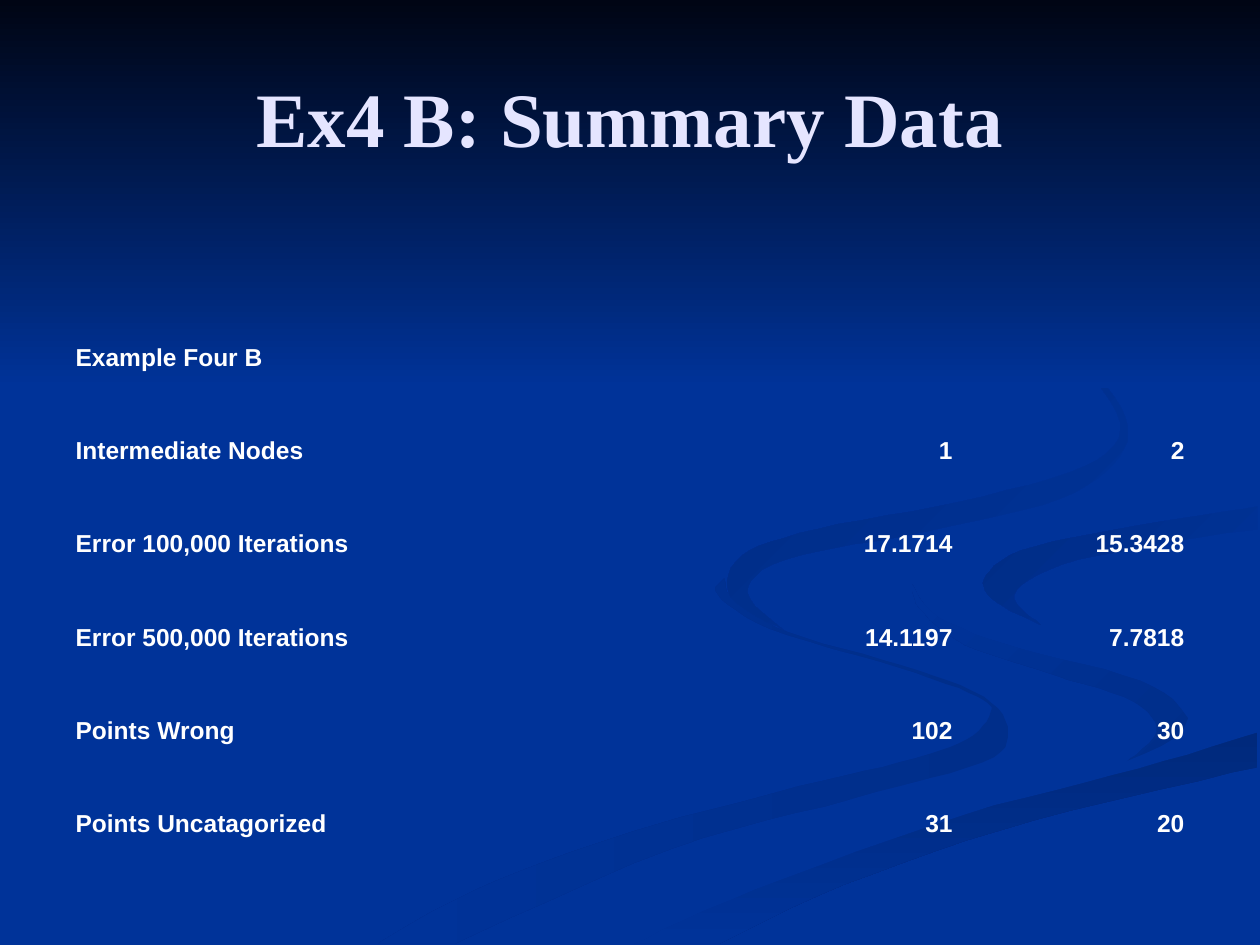
from dataclasses import dataclass

from pptx import Presentation
from pptx.dml.color import RGBColor
from pptx.dml.fill import FillFormat
from pptx.enum.shapes import MSO_SHAPE
from pptx.enum.text import MSO_ANCHOR, PP_ALIGN
from pptx.oxml.ns import qn
from pptx.slide import Slide
from pptx.util import Pt

Point = tuple[int, int]
Edge = tuple[Point, ...]

PX = 9144  # 100 px to the inch
STEPS = 6  # line segments between two knots of an edge
BLUE = RGBColor(0x00, 0x33, 0x99)
NIGHT = RGBColor(0x00, 0x05, 0x14)
SHADE_1 = RGBColor(0x00, 0x2E, 0x8A)
SHADE_2 = RGBColor(0x00, 0x29, 0x7C)
SHADE_3 = RGBColor(0x00, 0x2C, 0x85)
SHADE_4 = RGBColor(0x00, 0x2B, 0x81)
LAVENDER = RGBColor(0xE5, 0xE5, 0xFF)
WHITE = RGBColor(0xFF, 0xFF, 0xFF)
NO_STYLE = "{2D5ABB26-0587-4C30-8999-92F81FD0307C}"


@dataclass(frozen=True)
class Ribbon:
    start: RGBColor
    end: RGBColor
    angle: int  # clockwise degrees
    edges: tuple[Edge, ...]  # smooth curves, joined by corners


RIBBONS = (
    Ribbon(SHADE_1, BLUE, 180, (
        ((300, 749), (376, 707), (499, 661), (616, 629), (714, 605), (767, 587),
         (786, 566), (776, 553), (714, 530), (611, 499), (570, 472), (575, 459)),
        ((575, 459), (583, 477), (626, 502), (715, 528), (781, 553),
         (800, 581), (780, 605), (676, 634), (532, 674), (361, 749)))),
    Ribbon(SHADE_1, BLUE, 225, (
        ((724, 464), (745, 490), (811, 515), (905, 540), (943, 570), (932, 589), (894, 605)),
        ((894, 605), (918, 581), (900, 557), (838, 536), (766, 512), (730, 483), (724, 464)))),
    Ribbon(SHADE_2, BLUE, 90, (
        ((503, 749), (599, 706), (764, 647), (903, 610), (998, 581)),
        ((998, 609), (821, 651), (670, 702), (571, 749)))),
    Ribbon(BLUE, BLUE, 0, (
        ((725, 464), (755, 432), (830, 415), (920, 401), (999, 387)),
        ((999, 402), (933, 415), (850, 427), (786, 453), (804, 485), (866, 509), (999, 538)),
        ((999, 581), (903, 610), (764, 647), (599, 706), (503, 749)),
        ((477, 749), (573, 703), (704, 655), (892, 605), (943, 570),
         (905, 540), (811, 515), (745, 490), (725, 464)))),
    Ribbon(BLUE, SHADE_3, 225, (
        ((998, 402), (898, 418), (810, 437), (781, 460), (791, 478), (826, 496)),
        ((826, 496), (805, 472), (843, 448), (936, 429), (998, 420)))),
    Ribbon(BLUE, SHADE_4, 225, (
        ((762, 233), (846, 279), (889, 335), (861, 370), (763, 398),
         (649, 420), (589, 441), (580, 474), (622, 500)),
        ((622, 500), (593, 470), (624, 444), (739, 421), (841, 396),
         (889, 362), (890, 324), (843, 275), (762, 233)))),
)

COLUMNS = (520, 196, 184)
HEADER_HEIGHT, ROW_HEIGHT = 125, 74
ROWS = (
    ("Example Four B", "", ""),
    ("Intermediate Nodes", "1", "2"),
    ("Error 100,000 Iterations", "17.1714", "15.3428"),
    ("Error 500,000 Iterations", "14.1197", "7.7818"),
    ("Points Wrong", "102", "30"),
    ("Points Uncatagorized", "31", "20"),
)


def smooth(edge: Edge) -> list[tuple[float, float]]:
    """Points of a Catmull-Rom curve through the knots of an edge."""
    knots = (edge[0], *edge, edge[-1])
    points = [edge[0]]
    for a, b, c, d in zip(knots, knots[1:], knots[2:], knots[3:]):
        for step in range(1, STEPS + 1):
            t = step / STEPS
            points.append(tuple(
                q + t * ((r - p) + t * ((2 * p - 5 * q + 4 * r - s)
                                        + t * (3 * q - p - 3 * r + s))) / 2
                for p, q, r, s in zip(a, b, c, d)))
    return points


def set_gradient(fill: FillFormat, start: RGBColor, end: RGBColor, angle: int) -> None:
    """Fill from start to end; the angle runs clockwise."""
    if start == end:
        fill.solid()
        fill.fore_color.rgb = start
        return
    fill.gradient()
    fill.gradient_angle = 360 - angle
    for stop, color in zip(fill.gradient_stops, (start, end)):
        stop.color.rgb = color


def add_ribbon(s: Slide, ribbon: Ribbon) -> None:
    first, *rest = [point for edge in ribbon.edges for point in smooth(edge)]
    builder = s.shapes.build_freeform(*first, scale=PX)
    builder.add_line_segments(rest, close=True)
    sp = builder.convert_to_shape()
    sp.shadow.inherit = False
    sp.line.fill.background()
    set_gradient(sp.fill, ribbon.start, ribbon.end, ribbon.angle)


def add_sky(s: Slide) -> None:
    sp = s.shapes.add_shape(MSO_SHAPE.RECTANGLE, 0, 0, 1000 * PX, 308 * PX)
    sp.shadow.inherit = False
    sp.line.fill.background()
    set_gradient(sp.fill, NIGHT, BLUE, 90)


def style_paragraph(p, font: str, size: int, color: RGBColor, align: PP_ALIGN) -> None:
    p.alignment = align
    p.font.name, p.font.size, p.font.bold = font, Pt(size), True
    p.font.color.rgb = color


def add_title(s: Slide, text: str) -> None:
    tf = s.shapes.add_textbox(50 * PX, 30 * PX, 900 * PX, 125 * PX).text_frame
    tf.word_wrap = True
    tf.vertical_anchor = MSO_ANCHOR.MIDDLE
    p = tf.paragraphs[0]
    p.text = text
    style_paragraph(p, "Times New Roman", 44, LAVENDER, PP_ALIGN.CENTER)


def add_summary(s: Slide) -> None:
    height = HEADER_HEIGHT + ROW_HEIGHT * (len(ROWS) - 1)
    frame = s.shapes.add_table(len(ROWS), len(COLUMNS), 50 * PX, 175 * PX,
                               sum(COLUMNS) * PX, height * PX)
    next(frame._element.iter(qn("a:tableStyleId"))).text = NO_STYLE
    table = frame.table
    table.first_row = table.horz_banding = False
    for column, width in zip(table.columns, COLUMNS):
        column.width = width * PX
    for i, values in enumerate(ROWS):
        table.rows[i].height = (ROW_HEIGHT if i else HEADER_HEIGHT) * PX
        for j, value in enumerate(values):
            cell = table.cell(i, j)
            cell.fill.background()
            cell.vertical_anchor = MSO_ANCHOR.BOTTOM
            cell.text = value
            style_paragraph(cell.text_frame.paragraphs[0], "Arial", 14, WHITE,
                            PP_ALIGN.RIGHT if j else PP_ALIGN.LEFT)


def main() -> None:
    prs = Presentation()
    prs.slide_width, prs.slide_height = 1000 * PX, 750 * PX
    s = prs.slides.add_slide(prs.slide_layouts[6])
    s.background.fill.solid()
    s.background.fill.fore_color.rgb = BLUE
    for ribbon in RIBBONS:
        add_ribbon(s, ribbon)
    add_sky(s)
    add_title(s, "Ex4 B: Summary Data")
    add_summary(s)
    prs.save("out.pptx")


if __name__ == "__main__":
    main()
